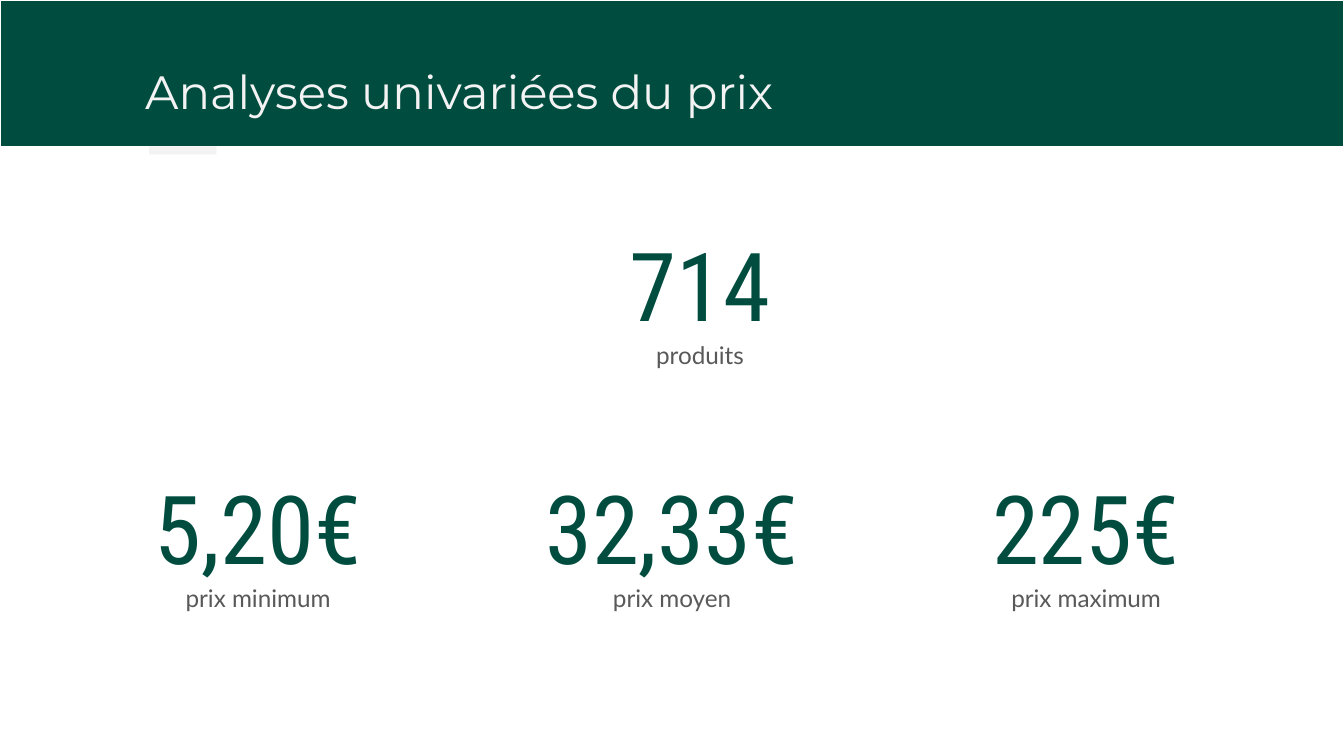
from dataclasses import dataclass

import pptx
import pptx.dml.color
import pptx.enum.shapes
import pptx.enum.text
import pptx.util

Pt = pptx.util.Pt
Color = pptx.dml.color.RGBColor
Align = pptx.enum.text.PP_ALIGN
Anchor = pptx.enum.text.MSO_ANCHOR
AutoSize = pptx.enum.text.MSO_AUTO_SIZE


@dataclass(frozen=True)
class Style:
    font: str
    size: float
    color: Color


@dataclass(frozen=True)
class Theme:
    green: Color = Color(0x00, 0x4D, 0x40)
    pale: Color = Color(0xF3, 0xF3, 0xF3)
    white: Color = Color(0xFF, 0xFF, 0xFF)
    title: Style = Style("Montserrat", 25, pale)
    figure: Style = Style("Roboto Condensed", 51, green)
    caption: Style = Style("Lato", 13, Color(0x59, 0x59, 0x59))


@dataclass(frozen=True)
class Statistic:
    value: str
    label: str
    left: float
    top: float


THEME = Theme()
SLIDE_WIDTH, SLIDE_HEIGHT = 720, 405
BAND_HEIGHT = 78.5
BOX_WIDTH, BOX_HEIGHT = 164, 92.2
INSET = 7.2
PRICE_LEFT, PRICE_STEP, PRICE_TOP = 56.2, 221.8, 244
PRICES = [
    ("5,20€", "prix minimum"),
    ("32,33€", "prix moyen"),
    ("225€", "prix maximum"),
]


def add_span(para, text: str, style: Style) -> None:
    span = para.add_run()
    span.text = text
    span.font.name = style.font
    span.font.size = Pt(style.size)
    span.font.color.rgb = style.color


def format_frame(frame, auto_size: AutoSize) -> None:
    frame.word_wrap = True
    frame.auto_size = auto_size
    frame.vertical_anchor = Anchor.TOP
    frame.margin_left = frame.margin_right = Pt(INSET)
    frame.margin_top = frame.margin_bottom = Pt(INSET)


def add_bar(page, left: float, top: float, width: float, height: float, color: Color):
    bar = page.shapes.add_shape(
        pptx.enum.shapes.MSO_SHAPE.RECTANGLE, Pt(left), Pt(top), Pt(width), Pt(height)
    )
    bar.shadow.inherit = False
    bar.fill.solid()
    bar.fill.fore_color.rgb = color
    bar.line.fill.background()
    return bar


def add_header(page, text: str) -> None:
    band = add_bar(page, 0, 0, SLIDE_WIDTH, BAND_HEIGHT, THEME.green)
    band.line.color.rgb = THEME.white
    band.line.width = Pt(0.75)
    title = page.shapes.title
    title.element.addprevious(band.element)
    title.left, title.top = Pt(70.6), Pt(26.6)
    title.width, title.height = Pt(671), Pt(45.4)
    format_frame(title.text_frame, AutoSize.NONE)
    para = title.text_frame.paragraphs[0]
    para.alignment = Align.LEFT
    add_span(para, text, THEME.title)
    add_bar(page, 79.9, BAND_HEIGHT, 36, 4.3, THEME.pale)


def add_statistic(page, statistic: Statistic) -> None:
    box = page.shapes.add_textbox(
        Pt(statistic.left), Pt(statistic.top), Pt(BOX_WIDTH), Pt(BOX_HEIGHT)
    )
    frame = box.text_frame
    format_frame(frame, AutoSize.SHAPE_TO_FIT_TEXT)
    value_para, label_para = frame.paragraphs[0], frame.add_paragraph()
    value_para.alignment = label_para.alignment = Align.CENTER
    add_span(value_para, statistic.value, THEME.figure)
    add_span(label_para, statistic.label, THEME.caption)


def main() -> None:
    deck = pptx.Presentation()
    deck.slide_width, deck.slide_height = Pt(SLIDE_WIDTH), Pt(SLIDE_HEIGHT)
    page = deck.slides.add_slide(deck.slide_layouts[5])
    add_header(page, "Analyses univariées du prix")
    add_statistic(page, Statistic("714", "produits", 293, 113.8))
    for column, (value, label) in enumerate(PRICES):
        left = PRICE_LEFT + column * PRICE_STEP
        add_statistic(page, Statistic(value, label, left, PRICE_TOP))
    deck.save("out.pptx")


if __name__ == "__main__":
    main()
